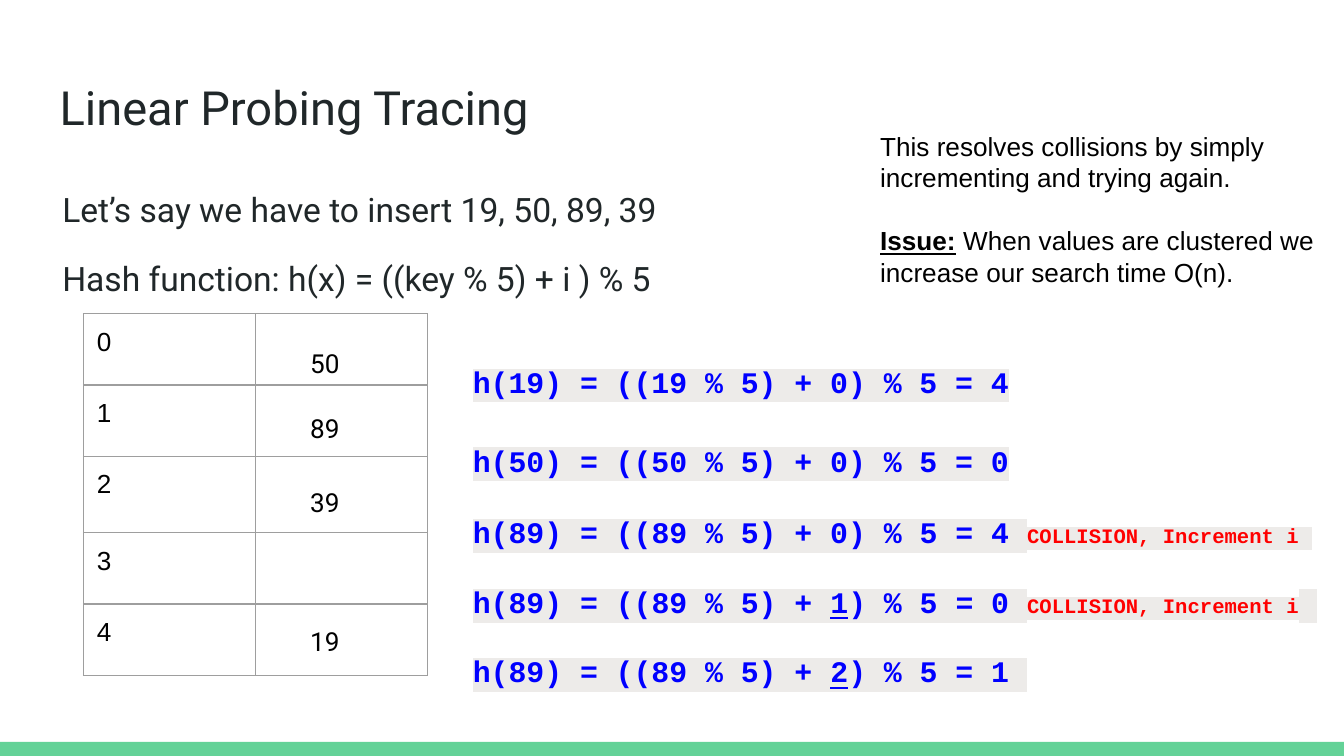
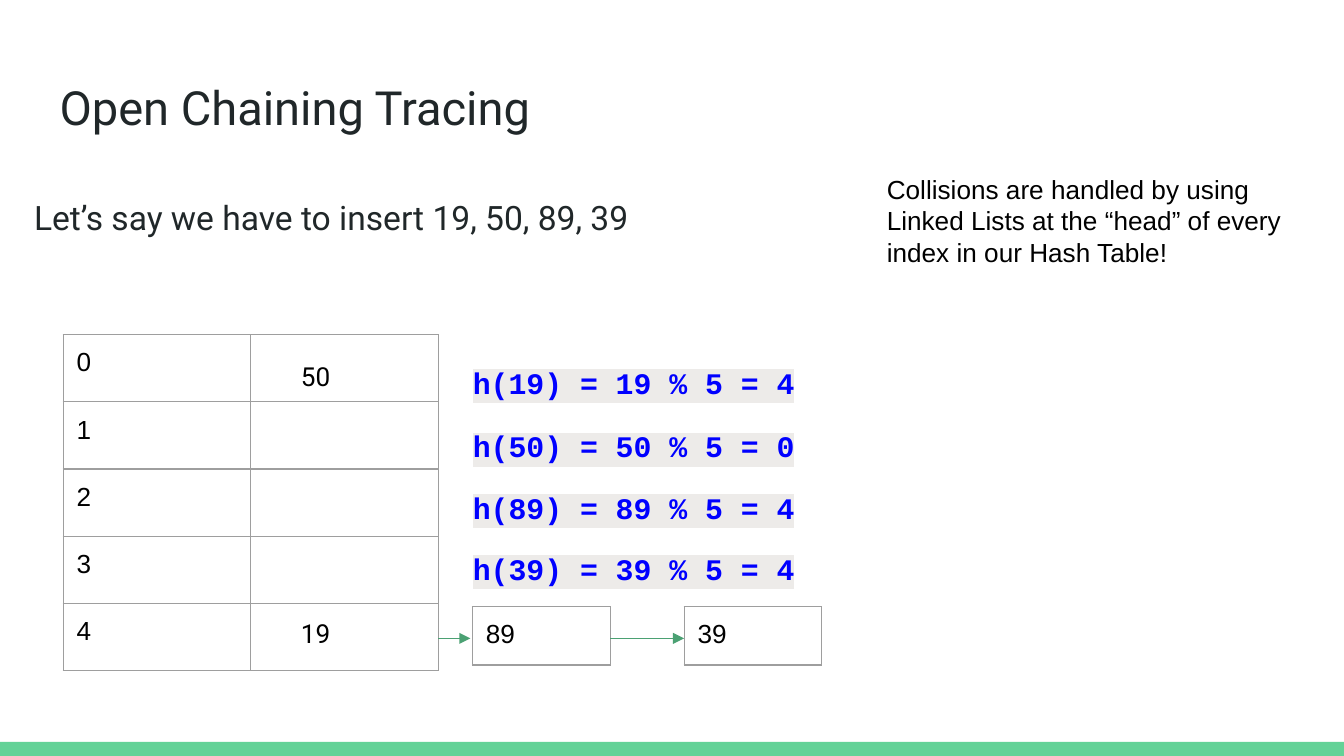
"""Build two slides that trace hash table collisions: linear probing and open chaining."""
from dataclasses import dataclass, replace

from lxml import etree
from pptx import Presentation
from pptx import util as u
from pptx.dml.color import RGBColor
from pptx.enum import shapes, text
from pptx.oxml import ns

PX = 4572
INSET = 20
SLIDE_WIDTH, SLIDE_HEIGHT = 2000, 1125
BAND_TOP = 1104
BAND_GREEN = RGBColor(0x63, 0xD2, 0x97)
ARROW_GREEN = RGBColor(0x4B, 0xA1, 0x73)
INK = RGBColor(0x20, 0x27, 0x29)
BLACK = RGBColor(0, 0, 0)
BLUE = RGBColor(0, 0, 0xFF)
RED = RGBColor(0xFF, 0, 0)
CODE_GREY = RGBColor(0xED, 0xEB, 0xE9)
GRID_GREY = RGBColor(0x9E, 0x9E, 0x9E)
FORMULA_LEFT, FORMULA_HEIGHT = 684, 84


@dataclass(frozen=True)
class Run:
    words: str
    size: float = 14
    font: str = "Arial"
    color: RGBColor = BLACK
    bold: bool = False
    underline: bool = False
    highlight: RGBColor | None = None


@dataclass(frozen=True)
class Line:
    runs: tuple[Run, ...]
    before: int = 0
    after: int = 0
    spacing: float = 1.0


@dataclass(frozen=True)
class Box:
    left: int
    top: int
    width: int
    height: int


@dataclass(frozen=True)
class Grid:
    left: int
    top: int
    column_widths: tuple[int, ...]
    row_heights: tuple[int, ...]
    labels: tuple[str, ...]


@dataclass(frozen=True)
class Formula:
    top: int
    width: int
    runs: tuple[Run, ...]


def px(length: int) -> u.Emu:
    """Turn px into EMU."""
    return u.Emu(length * PX)


def code(words: str, **changes) -> Run:
    """Make a highlighted formula run."""
    return replace(Run(words, 16, "Courier New", BLUE, True, highlight=CODE_GREY), **changes)


def probe(key: int, step: int, slot: int) -> tuple[Run, ...]:
    """Make the runs of a repeated probe with its step underlined."""
    return (code(f"h({key}) = (({key} % 5) + "), code(str(step), underline=True),
            code(f") % 5 = {slot} "))


def add_color(parent: etree._Element, color: RGBColor) -> None:
    """Append an RGB colour element."""
    etree.SubElement(parent, ns.qn("a:srgbClr"), val=str(color))


def add_run(paragraph, item: Run) -> None:
    """Add one formatted run."""
    run = paragraph.add_run()
    run.text = item.words
    font = run.font
    font.size = u.Pt(item.size)
    font.bold = item.bold
    font.underline = item.underline
    font.color.rgb = item.color
    if item.highlight is not None:
        properties = run._r.get_or_add_rPr()
        add_color(etree.SubElement(properties, ns.qn("a:highlight")), item.highlight)
    font.name = item.font


def add_text(slide, box: Box, *lines: Line) -> None:
    """Add a wrapped text box with equal insets."""
    shape = slide.shapes.add_textbox(px(box.left), px(box.top), px(box.width), px(box.height))
    frame = shape.text_frame
    frame.word_wrap = True
    frame.vertical_anchor = text.MSO_ANCHOR.TOP
    frame.margin_left = frame.margin_right = px(INSET)
    frame.margin_top = frame.margin_bottom = px(INSET)
    for index, line in enumerate(lines):
        paragraph = frame.add_paragraph() if index else frame.paragraphs[0]
        paragraph.line_spacing = line.spacing
        paragraph.space_before = u.Pt(line.before)
        paragraph.space_after = u.Pt(line.after)
        for item in line.runs:
            add_run(paragraph, item)


def add_borders(cell) -> None:
    """Draw the four thin borders of a cell."""
    properties = cell._tc.get_or_add_tcPr()
    for side in ("a:lnL", "a:lnR", "a:lnT", "a:lnB"):
        border = etree.SubElement(properties, ns.qn(side), w=str(u.Pt(0.75)))
        add_color(etree.SubElement(border, ns.qn("a:solidFill")), GRID_GREY)


def add_grid(slide, grid: Grid) -> None:
    """Add a plain bordered table with labels in its first column."""
    shape = slide.shapes.add_table(
        len(grid.row_heights), len(grid.column_widths), px(grid.left), px(grid.top),
        px(sum(grid.column_widths)), px(sum(grid.row_heights)))
    table = shape.table
    table.first_row = table.horz_banding = False
    for column, width in zip(table.columns, grid.column_widths):
        column.width = px(width)
    for row, height in zip(table.rows, grid.row_heights):
        row.height = px(height)
    for cell in table.iter_cells():
        add_borders(cell)
        cell.fill.background()
    for index, label in enumerate(grid.labels):
        cell = table.cell(index, 0)
        cell.margin_left = cell.margin_right = px(INSET)
        cell.margin_top = cell.margin_bottom = px(INSET)
        add_run(cell.text_frame.paragraphs[0], Run(label))


def add_arrow(slide, start: int, end: int, y: int) -> None:
    """Add a thin horizontal arrow."""
    connector = slide.shapes.add_connector(
        shapes.MSO_CONNECTOR.STRAIGHT, px(start), px(y), px(end), px(y))
    connector.line.color.rgb = ARROW_GREEN
    connector.line.width = u.Pt(0.75)
    etree.SubElement(connector.line._get_or_add_ln(), ns.qn("a:tailEnd"), type="triangle")
    etree.SubElement(connector._element.spPr, ns.qn("a:effectLst"))


def add_values(slide, left: int, width: int, height: int, values: dict[str, int]) -> None:
    """Place the stored values, given with their tops, over the table."""
    for value, top in values.items():
        add_text(slide, Box(left, top, width, height), Line((Run(value, font="Roboto"),)))


def add_formulas(slide, formulas: list[Formula]) -> None:
    """Stack the hash computations beside the table."""
    for formula in formulas:
        box = Box(FORMULA_LEFT, formula.top, formula.width, FORMULA_HEIGHT)
        add_text(slide, box, Line(formula.runs))


def body_line(words: str, **spacing) -> Line:
    """Make a line of body text."""
    return Line((Run(words, 18, "Roboto", INK),), spacing=1.15, **spacing)


def add_titled_slide(presentation, title: str):
    """Add a blank slide with the bottom band and a title."""
    slide = presentation.slides.add_slide(presentation.slide_layouts[6])
    band = slide.shapes.add_shape(
        shapes.MSO_SHAPE.RECTANGLE, 0, px(BAND_TOP), px(SLIDE_WIDTH),
        px(SLIDE_HEIGHT - BAND_TOP))
    band.shadow.inherit = False
    band.fill.solid()
    band.fill.fore_color.rgb = BAND_GREEN
    band.line.fill.background()
    add_text(slide, Box(69, 97, 1864, 126), Line((Run(title, 25.2, "Roboto", INK),)))
    return slide


def build_probing(presentation) -> None:
    """Build the linear probing slide."""
    slide = add_titled_slide(presentation, "Linear Probing Tracing")
    add_text(slide, Box(73, 252, 1802, 748),
             body_line("Let’s say we have to insert 19, 50, 89, 39"),
             body_line("Hash function: h(x) = ((key % 5) + i ) % 5", before=12, after=12))
    add_grid(slide, Grid(124, 467, (256, 256), (106, 106, 114, 106, 106), tuple("01234")))
    collision = code("COLLISION, Increment i", size=11, color=RED)
    add_formulas(slide, [
        Formula(521, 1220, (code("h(19) = ((19 % 5) + 0) % 5 = 4"),)),
        Formula(638, 1140, (code("h(50) = ((50 % 5) + 0) % 5 = 0"),)),
        Formula(745, 1316, (code("h(89) = ((89 % 5) + 0) % 5 = 4 "), collision,
                            code(" ", size=11))),
        Formula(849, 1316, (*probe(89, 1, 0), collision, code(" ", color=BLACK))),
        Formula(952, 1272, probe(89, 2, 1)),
    ])
    add_values(slide, 442, 130, 64, {"50": 497, "89": 594, "39": 704, "19": 911})
    add_text(slide, Box(1290, 174, 710, 346),
             Line((Run("This resolves collisions by simply incrementing and trying again."),)),
             Line((Run("Issue:", bold=True, underline=True),
                   Run(" When values are clustered we increase our search time O(n).")),
                  before=17))


def build_chaining(presentation) -> None:
    """Build the open chaining slide."""
    slide = add_titled_slide(presentation, "Open Chaining Tracing")
    add_text(slide, Box(31, 264, 1864, 748),
             body_line("Let’s say we have to insert 19, 50, 89, 39"))
    add_grid(slide, Grid(94, 498, (279, 279), (100,) * 5, tuple("01234")))
    add_values(slide, 428, 106, 68, {"50": 516, "19": 899})
    for start, end, node_left, value in ((652, 700, 703, "89"), (908, 1018, 1018, "39")):
        add_arrow(slide, start, end, 950)
        add_grid(slide, Grid(node_left, 903, (205,), (84,), (value,)))
    hashes = ((522, 19, 4), (617, 50, 0), (708, 89, 4), (799, 39, 4))
    add_formulas(slide, [Formula(top, 632, (code(f"h({key}) = {key} % 5 = {slot}"),))
                         for top, key, slot in hashes])
    add_text(slide, Box(1300, 238, 632, 414), Line((Run(
        "Collisions are handled by using Linked Lists at the “head” of every index "
        "in our Hash Table!"),)))


def main() -> None:
    """Build and save the presentation."""
    presentation = Presentation()
    presentation.slide_width = px(SLIDE_WIDTH)
    presentation.slide_height = px(SLIDE_HEIGHT)
    build_probing(presentation)
    build_chaining(presentation)
    presentation.save("out.pptx")


if __name__ == "__main__":
    main()
